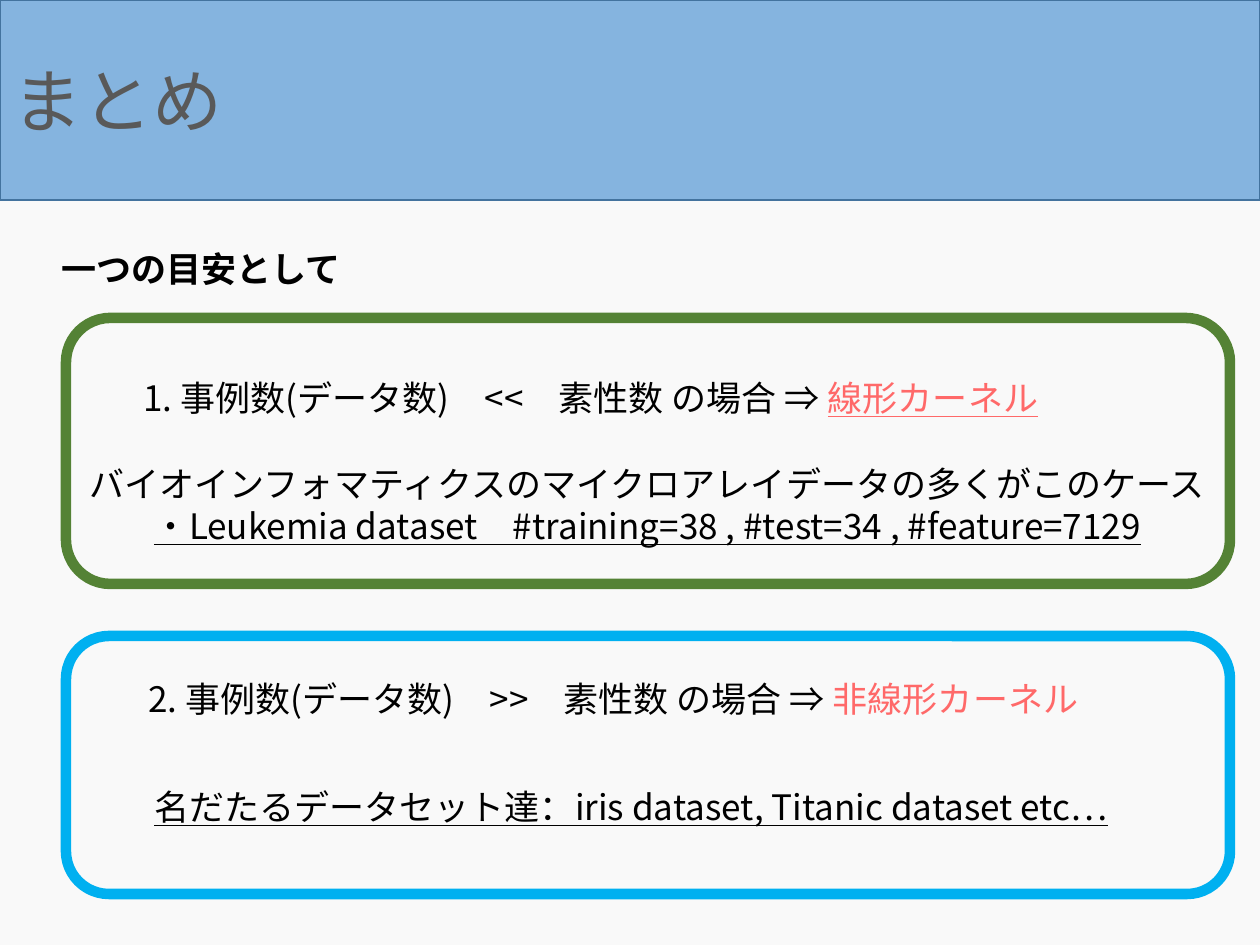
from pptx import Presentation
from pptx.dml.color import RGBColor
from pptx.enum.shapes import MSO_SHAPE as Preset
from pptx.enum.text import MSO_ANCHOR as Anchor, PP_ALIGN as Align
from pptx.oxml.ns import qn
from pptx.util import Pt
from lxml.etree import SubElement

EMU_PER_PX = 914400 / 126
FONT = "Noto Sans CJK JP"
COLORS = {
    "paper": "F9F9F9",
    "banner": "85B4DF",
    "banner_edge": "43739E",
    "title": "595959",
    "ink": "000000",
    "kernel": "FF6969",
    "linear": "548235",
    "nonlinear": "00B0F0",
}


def px(length):
    return round(length * EMU_PER_PX)


def color(name):
    return RGBColor.from_string(COLORS[name])


def add_span(para, text, size=20, ink="ink", bold=False, underline=False):
    span = para.add_run()
    span.text = text
    font = span.font
    font.size = Pt(size)
    font.bold = bold
    font.underline = underline
    font.color.rgb = color(ink)
    font.name = FONT
    # Japanese glyphs take their font from the East Asian slot
    SubElement(font._element, qn("a:ea"), typeface=FONT)


class SlideWriter:
    def __init__(self, deck):
        self.slide = deck.slides.add_slide(deck.slide_layouts[6])
        background = self.slide.background.fill
        background.solid()
        background.fore_color.rgb = color("paper")

    def shape(self, preset, left, top, width, height, line, weight, fill=None):
        shape = self.slide.shapes.add_shape(preset, px(left), px(top), px(width), px(height))
        shape.shadow.inherit = False
        if fill:
            shape.fill.solid()
            shape.fill.fore_color.rgb = color(fill)
        else:
            shape.fill.background()
        shape.line.color.rgb = color(line)
        shape.line.width = Pt(weight)
        return shape

    def banner(self, text, width, height):
        banner = self.shape(Preset.RECTANGLE, 0, 0, width, height, "banner_edge", 1, "banner")
        banner.text_frame.vertical_anchor = Anchor.MIDDLE
        para = banner.text_frame.paragraphs[0]
        para.alignment = Align.LEFT
        add_span(para, text, size=40, ink="title")

    def frame(self, top, height, line):
        self.shape(Preset.ROUNDED_RECTANGLE, 66, top, 1164, height, line, 6)

    def text(self, left, top, width, height, lines, align=Align.LEFT):
        """Each line is a list of (text, format) pairs."""
        box = self.slide.shapes.add_textbox(px(left), px(top), px(width), px(height))
        box.text_frame.word_wrap = True
        for index, spans in enumerate(lines):
            para = box.text_frame.add_paragraph() if index else box.text_frame.paragraphs[0]
            para.alignment = align
            for text, style in spans:
                add_span(para, text, **style)


def main():
    deck = Presentation()
    deck.slide_width, deck.slide_height = px(1260), px(945)
    writer = SlideWriter(deck)
    writer.banner("まとめ", 1260, 200)
    writer.text(49, 241, 350, 55, [[("一つの目安として", {"bold": True})]])

    cases = [
        (131, 370, "1", "<<", "線形カーネル", True),
        (136, 671, "2", ">>", "非線形カーネル", False),
    ]
    for left, top, number, relation, kernel, underline in cases:
        condition = f"{number}. 事例数(データ数)　{relation}　素性数 の場合 ⇒ "
        writer.text(left, top, 1030, 55, [
            [(condition, {}), (kernel, {"ink": "kernel", "underline": underline})],
        ])

    writer.frame(318, 266, "linear")
    writer.frame(636, 258, "nonlinear")

    writer.text(16, 456, 1263, 97, [
        [("バイオインフォマティクスのマイクロアレイデータの多くがこのケース", {})],
        [("・Leukemia dataset　#training=38 , #test=34 , #feature=7129", {"underline": True})],
    ], Align.CENTER)
    writer.text(116, 779, 1030, 55, [
        [("名だたるデータセット達：iris dataset, Titanic dataset etc…", {"underline": True})],
    ], Align.CENTER)
    deck.save("out.pptx")


if __name__ == "__main__":
    main()
